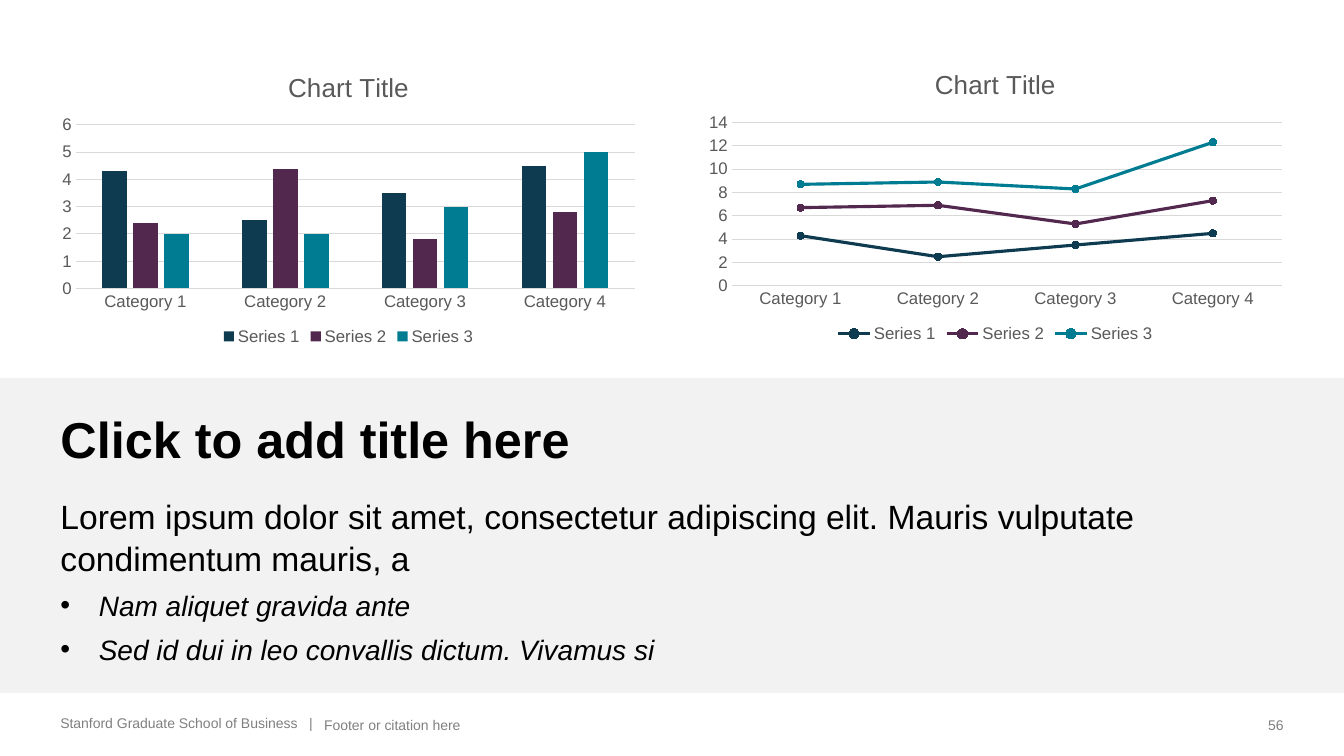
"""Build a slide with two charts above a text band and a footer."""
from dataclasses import dataclass

from lxml import etree
from pptx import Presentation
from pptx import util as u
from pptx.chart.data import CategoryChartData
from pptx.dml.color import RGBColor
from pptx.enum import chart as ch
from pptx.enum import shapes, text
from pptx.oxml.ns import qn

FONT = "Arial"
CELL = u.Inches(1 / 12)
COLUMNS, ROWS = 160, 90
BLACK, AXIS_TEXT, FOOTER_GRAY = "000000", "595959", "808080"
GRID_GRAY, BAND_GRAY = "D9D9D9", "F2F2F2"
CATEGORIES = [f"Category {n}" for n in range(1, 5)]


@dataclass(frozen=True)
class Area:
    column: float
    row: float
    width: float
    height: float

    def emu(self) -> list[int]:
        return [round(n * CELL) for n in (self.column, self.row, self.width, self.height)]


@dataclass(frozen=True)
class Series:
    name: str
    color: str
    values: tuple[float, ...]


@dataclass(frozen=True)
class Plot:
    area: Area
    kind: ch.XL_CHART_TYPE


@dataclass(frozen=True)
class Passage:
    words: str
    size: float
    before: float = 0
    bold: bool = False
    italic: bool = False
    bullet: bool = False


@dataclass(frozen=True)
class Footer:
    words: str
    area: Area
    wrap: bool = False
    align: text.PP_ALIGN = text.PP_ALIGN.LEFT


SERIES = (
    Series("Series 1", "0E3B50", (4.3, 2.5, 3.5, 4.5)),
    Series("Series 2", "53284F", (2.4, 4.4, 1.8, 2.8)),
    Series("Series 3", "007C92", (2, 2, 3, 5)),
)
PLOTS = (
    Plot(Area(6, 6.4, 71, 35.2), ch.XL_CHART_TYPE.COLUMN_CLUSTERED),
    Plot(Area(83, 6.1, 71, 35.2), ch.XL_CHART_TYPE.LINE_MARKERS_STACKED),
)
BAND = Area(0, 45, COLUMNS, 37.5)
PASSAGES = (
    Passage("Click to add title here", 36, bold=True),
    Passage("Lorem ipsum dolor sit amet, consectetur adipiscing elit. "
            "Mauris vulputate condimentum mauris, a", 24, before=18),
    Passage("Nam aliquet gravida ante", 20, before=6, italic=True, bullet=True),
    Passage("Sed id dui in leo convallis dictum. Vivamus si", 20, before=6,
            italic=True, bullet=True),
)
FOOTERS = (
    Footer("Stanford Graduate School of Business\u00a0\u00a0 |".replace("\u00a0\u00a0 ", "   "),
           Area(6, 84.4, 32.6, 3.2)),
    Footer("Footer or citation here", Area(37.4, 84.4, 110, 3.5), wrap=True),
    Footer("56", Area(149.3, 84.4, 4.7, 3.5), align=text.PP_ALIGN.RIGHT),
)


def paint(target, color: str) -> None:
    if hasattr(target, "solid"):
        target.solid()
        target = target.fore_color
    target.rgb = RGBColor.from_string(color)


def style(font, size: float, color: str, bold: bool = False, italic: bool = False) -> None:
    font.name, font.size = FONT, u.Pt(size)
    font.bold, font.italic = bold, italic
    paint(font.color, color)


def rule(line, color: str, width: float) -> None:
    paint(line.fill, color)
    line.width = u.Pt(width)


def style_axes(chart) -> None:
    for axis in (chart.category_axis, chart.value_axis):
        axis.major_tick_mark = axis.minor_tick_mark = ch.XL_TICK_MARK.NONE
        style(axis.tick_labels.font, 12, AXIS_TEXT)
    rule(chart.category_axis.format.line, GRID_GRAY, 0.75)
    chart.value_axis.format.line.fill.background()
    chart.value_axis.has_major_gridlines = True
    rule(chart.value_axis.major_gridlines.format.line, GRID_GRAY, 0.75)


def style_series(plot, columns: bool) -> None:
    plot.vary_by_categories = False
    if columns:
        plot.gap_width, plot.overlap = 219, -27
    for drawn, series in zip(plot.series, SERIES):
        if columns:
            paint(drawn.format.fill, series.color)
            continue
        drawn.smooth = False
        rule(drawn.format.line, series.color, 2.25)
        drawn.marker.style, drawn.marker.size = ch.XL_MARKER_STYLE.CIRCLE, 5
        paint(drawn.marker.format.fill, series.color)
        rule(drawn.marker.format.line, series.color, 0.75)


def draw_plot(slide, plot: Plot) -> None:
    data = CategoryChartData()
    data.categories = CATEGORIES
    for series in SERIES:
        data.add_series(series.name, series.values)
    chart = slide.shapes.add_chart(plot.kind, *plot.area.emu(), data).chart
    style(chart.font, 10, BLACK)
    chart.has_title = True
    heading = chart.chart_title.text_frame.paragraphs[0].add_run()
    heading.text = "Chart Title"
    style(heading.font, 18.6, AXIS_TEXT)
    chart.has_legend = True
    chart.legend.position = ch.XL_LEGEND_POSITION.BOTTOM
    chart.legend.include_in_layout = False
    style(chart.legend.font, 12, AXIS_TEXT)
    style_axes(chart)
    style_series(chart.plots[0], plot.kind == ch.XL_CHART_TYPE.COLUMN_CLUSTERED)


def write_passage(paragraph, passage: Passage) -> None:
    paragraph.alignment = text.PP_ALIGN.LEFT
    paragraph.line_spacing = 1.05
    paragraph.space_before = u.Pt(passage.before)
    if passage.bullet:
        properties = paragraph._p.get_or_add_pPr()
        indent = u.Inches(0.38)
        properties.set("marL", str(indent))
        properties.set("indent", str(-indent))
        etree.SubElement(properties, qn("a:buFont"), typeface=FONT)
        etree.SubElement(properties, qn("a:buChar"), char="•")
    run = paragraph.add_run()
    run.text = passage.words
    style(run.font, passage.size, BLACK, passage.bold, passage.italic)


def draw_band(slide) -> None:
    band = slide.shapes.add_shape(shapes.MSO_SHAPE.RECTANGLE, *BAND.emu())
    band.shadow.inherit = False
    paint(band.fill, BAND_GRAY)
    band.line.fill.background()
    frame = band.text_frame
    frame.word_wrap = True
    frame.vertical_anchor = text.MSO_ANCHOR.MIDDLE
    frame.margin_left = frame.margin_right = u.Inches(0.6)
    frame.margin_top = frame.margin_bottom = u.Inches(0.2)
    for index, passage in enumerate(PASSAGES):
        write_passage(frame.add_paragraph() if index else frame.paragraphs[0], passage)


def draw_footer(slide, footer: Footer) -> None:
    frame = slide.shapes.add_textbox(*footer.area.emu()).text_frame
    frame.word_wrap = footer.wrap
    frame.vertical_anchor = text.MSO_ANCHOR.BOTTOM
    paragraph = frame.paragraphs[0]
    paragraph.alignment = footer.align
    run = paragraph.add_run()
    run.text = footer.words
    style(run.font, 10, FOOTER_GRAY)


def main() -> None:
    deck = Presentation()
    deck.slide_width, deck.slide_height = COLUMNS * CELL, ROWS * CELL
    slide = deck.slides.add_slide(deck.slide_layouts[6])
    draw_band(slide)
    for plot in PLOTS:
        draw_plot(slide, plot)
    for footer in FOOTERS:
        draw_footer(slide, footer)
    deck.save("out.pptx")


if __name__ == "__main__":
    main()
